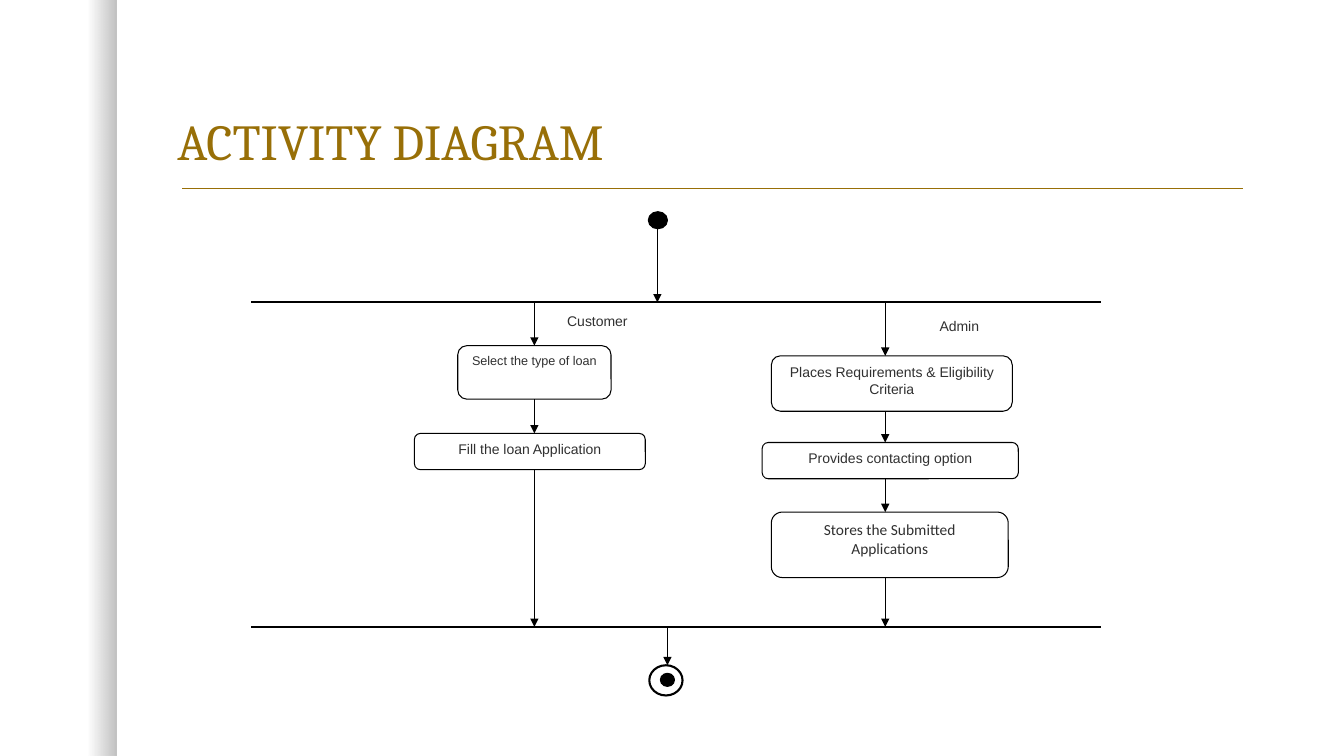
from lxml.etree import SubElement
from pptx import Presentation
from pptx.dml.color import RGBColor
from pptx.enum.shapes import MSO_CONNECTOR as Link, MSO_SHAPE as Shape
from pptx.enum.text import MSO_ANCHOR as Anchor, PP_ALIGN as Align
from pptx.oxml.ns import qn
from pptx.util import Inches, Pt

WIDTH, HEIGHT = 13.33, 7.5
BLACK, WHITE, GOLD, INK = "000000", "FFFFFF", "986F07", "303030"

TITLE = "ACTIVITY DIAGRAM"
FORK, JOIN = 3.0, 6.22
BAR_LEFT, BAR_RIGHT = 2.49, 10.92
START = (6.43, 2.1, 0.19, 0.17)
END_RING = (6.44, 6.6, 0.33, 0.3)
END_DOT = (6.55, 6.68, 0.14, 0.13)
LANES = [
    {"axis": 5.3, "role": "Customer", "role_at": (5.34, 3.05, 1.17, 0.33), "steps": [
        ("Select the type of loan", (4.54, 3.43, 1.52, 0.53), "Arial", 9),
        ("Fill the loan Application", (4.11, 4.3, 2.29, 0.36), "Arial", 10),
    ]},
    {"axis": 8.78, "role": "Admin", "role_at": (8.93, 3.1, 1.17, 0.33), "steps": [
        ("Places Requirements & Eligibility Criteria", (7.65, 3.53, 2.39, 0.55), "Arial", 10),
        ("Provides contacting option", (7.56, 4.39, 2.54, 0.36), "Arial", 10),
        ("Stores the Submitted Applications", (7.65, 5.08, 2.35, 0.65), "Calibri", 11),
    ]},
]

deck = Presentation()
deck.slide_width, deck.slide_height = Inches(WIDTH), Inches(HEIGHT)
slide = deck.slides.add_slide(deck.slide_layouts[6])


def color(value):
    return RGBColor.from_string(value)


def add_node(kind, box, fill, weight=0.0):
    node = slide.shapes.add_shape(kind, *map(Inches, box))
    node.shadow.inherit = False
    node.fill.solid()
    node.fill.fore_color.rgb = color(fill)
    if weight:
        node.line.color.rgb = color(BLACK)
        node.line.width = Pt(weight)
    else:
        node.line.fill.background()
    return node


def write(node, text, font, size, ink=INK, align=Align.CENTER, anchor=Anchor.TOP):
    frame = node.text_frame
    frame.word_wrap = True
    frame.vertical_anchor = anchor
    paragraph = frame.paragraphs[0]
    paragraph.text = text
    paragraph.alignment = align
    paragraph.font.name = font
    paragraph.font.size = Pt(size)
    paragraph.font.color.rgb = color(ink)
    return paragraph


def add_line(x1, y1, x2, y2, weight, ink=BLACK, arrow=False):
    line = slide.shapes.add_connector(Link.STRAIGHT, *map(Inches, (x1, y1, x2, y2)))
    line.line.color.rgb = color(ink)
    line.line.width = Pt(weight)
    if arrow:
        SubElement(line.line._get_or_add_ln(), qn("a:tailEnd"), type="triangle")
    SubElement(line._element.spPr, qn("a:effectLst"))


def add_arrow(x, top, bottom):
    add_line(x, top, x, bottom, 0.75, arrow=True)


def add_edge_shade():
    shade = add_node(Shape.RECTANGLE, (0, 0, 1.16, HEIGHT), BLACK)
    shade.fill.gradient()
    shade.fill.gradient_angle = 0
    for stop, position, opacity in zip(shade.fill.gradient_stops, (0.75, 1), (0, 25)):
        stop.position = position
        stop.color.rgb = color(BLACK)
        tint = stop._gs.find(qn("a:srgbClr"))
        SubElement(tint, qn("a:alpha"), val=str(opacity * 1000))


def add_lane(lane):
    role = add_node(Shape.RECTANGLE, lane["role_at"], WHITE)
    write(role, lane["role"], "Arial", 10)
    above = FORK
    for text, box, font, size in lane["steps"]:
        step = add_node(Shape.ROUNDED_RECTANGLE, box, WHITE, 0.75)
        write(step, text, font, size)
        add_arrow(lane["axis"], above, box[1])
        above = box[1] + box[3]
    add_arrow(lane["axis"], above, JOIN)


def main():
    add_edge_shade()
    add_line(1.81, 1.87, 12.33, 1.87, 1, GOLD)
    heading = slide.shapes.add_textbox(*map(Inches, (1.66, 0.42, 10.75, 1.33)))
    title = write(heading, TITLE, "Cambria", 36, GOLD, Align.LEFT, Anchor.BOTTOM)
    title.line_spacing = 0.9

    add_node(Shape.OVAL, START, BLACK, 0.75)
    add_arrow(6.52, START[1] + START[3], FORK)
    for lane in LANES:
        add_lane(lane)
    for bar in (FORK, JOIN):
        add_line(BAR_LEFT, bar, BAR_RIGHT, bar, 1.5)
    add_node(Shape.OVAL, END_RING, WHITE, 1.5)
    add_node(Shape.OVAL, END_DOT, BLACK, 0.75)
    add_arrow(6.62, JOIN, END_RING[1])
    deck.save("out.pptx")


if __name__ == "__main__":
    main()
